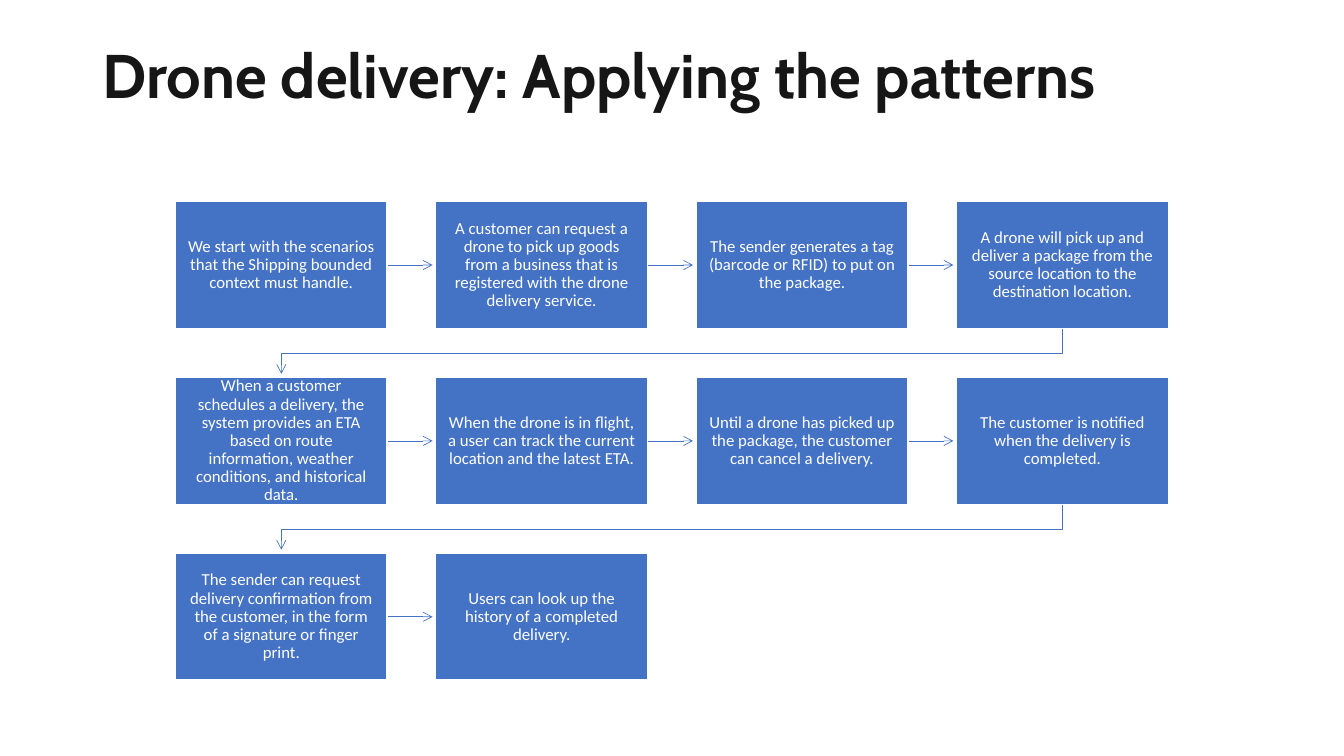
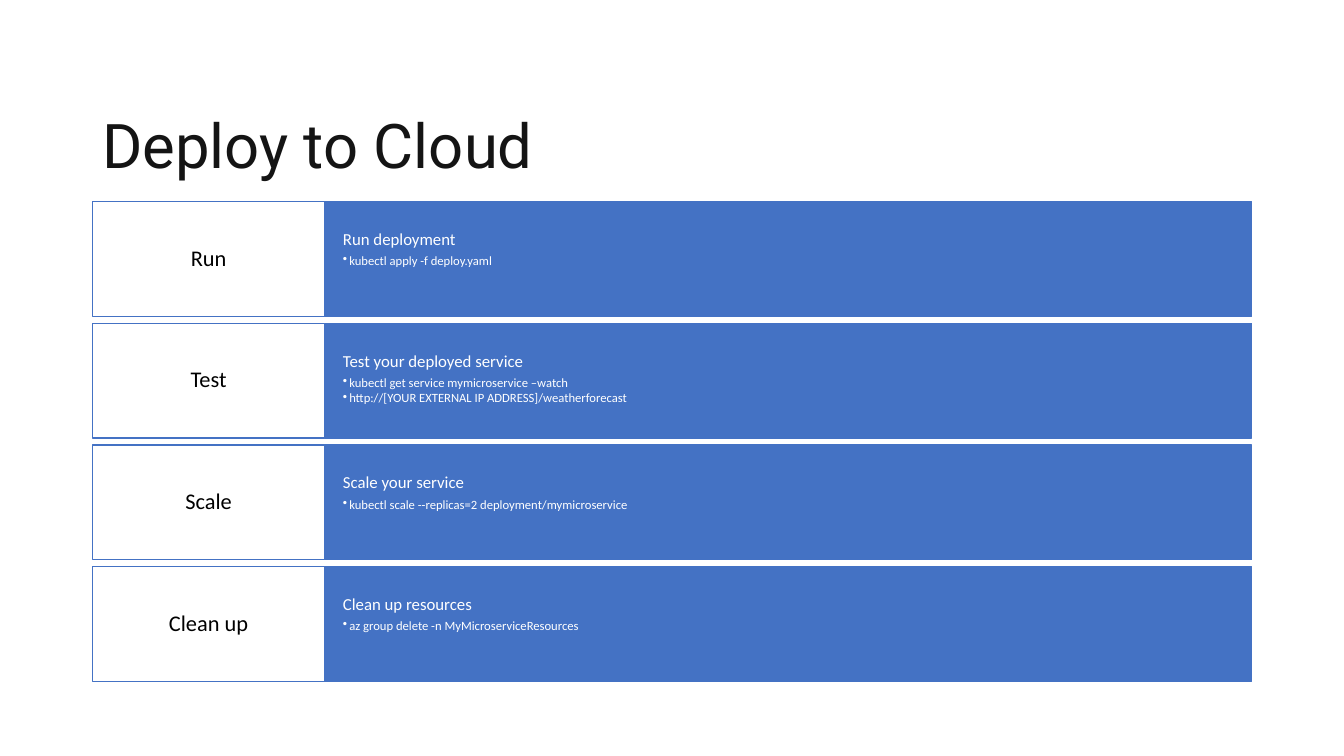
"""Build two slides: a drone delivery flow and a list of deployment steps."""
import pptx
import pptx.dml.color
import pptx.enum.shapes
import pptx.enum.text
import pptx.oxml.ns
import pptx.oxml.xmlchemy
import pptx.util
from lxml import etree

Pt = pptx.util.Pt
qn = pptx.oxml.ns.qn
Align = pptx.enum.text.PP_ALIGN
Anchor = pptx.enum.text.MSO_ANCHOR

COLORS = {
    "blue": "4472C4",
    "white": "FFFFFF",
    "black": "000000",
    "flow title": "161616",
    "steps title": "141414",
}
BODY_FONT = "Calibri"
LINE_SPACING = 0.9

FLOW_TITLE = "Drone delivery: Applying the patterns"
SCENARIOS = [
    "We start with the scenarios that the Shipping bounded context must handle.",
    "A customer can request a drone to pick up goods from a business that is "
    "registered with the drone delivery service.",
    "The sender generates a tag (barcode or RFID) to put on the package.",
    "A drone will pick up and deliver a package from the source location to the "
    "destination location.",
    "When a customer schedules a delivery, the system provides an ETA based on "
    "route information, weather conditions, and historical data.",
    "When the drone is in flight, a user can track the current location and the latest ETA.",
    "Until a drone has picked up the package, the customer can cancel a delivery.",
    "The customer is notified when the delivery is completed.",
    "The sender can request delivery confirmation from the customer, in the form "
    "of a signature or finger print.",
    "Users can look up the history of a completed delivery.",
]

STEPS_TITLE = "Deploy to Cloud"
STEPS = [
    ("Run", "Run deployment", ["kubectl apply -f deploy.yaml"]),
    ("Test", "Test your deployed service", [
        "kubectl get service mymicroservice –watch",
        "http://[YOUR EXTERNAL IP ADDRESS]/weatherforecast",
    ]),
    ("Scale", "Scale your service", ["kubectl scale --replicas=2 deployment/mymicroservice"]),
    ("Clean up", "Clean up resources", ["az group delete -n MyMicroserviceResources"]),
]

TOP = 144
COLUMNS = 4
BOX_LEFT, BOX_WIDTH, BOX_HEIGHT = 125.3, 151.3, 90.6
COLUMN_PITCH, ROW_PITCH = 186, 125.64
ARROW_LENGTH = 32.4
BEND_DROP = 17.6

LABEL_LEFT, LABEL_WIDTH = 66.2, 165.6
DETAIL_WIDTH = 662.4
STEP_HEIGHT, STEP_PITCH = 82.1, 86.9


def color(name):
    return pptx.dml.color.RGBColor.from_string(COLORS[name])


def style_paragraph(paragraph, size, color_name, font=BODY_FONT, bold=False, align=Align.LEFT):
    paragraph.alignment = align
    paragraph.line_spacing = LINE_SPACING
    for run in paragraph.runs:
        run.font.name = font
        run.font.size = Pt(size)
        run.font.bold = bold
        run.font.color.rgb = color(color_name)


def set_frame(text_frame, anchor, horizontal, vertical):
    text_frame.word_wrap = True
    text_frame.vertical_anchor = anchor
    text_frame.margin_left = text_frame.margin_right = Pt(horizontal)
    text_frame.margin_top = text_frame.margin_bottom = Pt(vertical)


def add_title(slide, text, font, color_name, anchor, bold=False):
    shape = slide.shapes.add_textbox(Pt(66), Pt(28.8), Pt(828), Pt(104.4))
    set_frame(shape.text_frame, anchor, 7.2, 3.6)
    shape.text_frame.text = text
    style_paragraph(shape.text_frame.paragraphs[0], 44, color_name, font, bold)


def add_box(slide, left, top, width, height, fill, line):
    shape = slide.shapes.add_shape(
        pptx.enum.shapes.MSO_SHAPE.RECTANGLE, Pt(left), Pt(top), Pt(width), Pt(height))
    shape.shadow.inherit = False
    shape.fill.solid()
    shape.fill.fore_color.rgb = color(fill)
    shape.line.color.rgb = color(line)
    shape.line.width = Pt(1)
    return shape


def add_centered_text(shape, text, size, color_name, horizontal):
    set_frame(shape.text_frame, Anchor.MIDDLE, horizontal, 7.9)
    shape.text_frame.text = text
    style_paragraph(shape.text_frame.paragraphs[0], size, color_name, align=Align.CENTER)


def style_arrow(shape):
    shape.line.color.rgb = color("blue")
    shape.line.width = Pt(0.5)
    properties = shape.element.spPr
    etree.SubElement(properties.find(qn("a:ln")), qn("a:tailEnd"), type="arrow")


def add_straight_arrow(slide, left, y):
    arrow = slide.shapes.add_connector(
        pptx.enum.shapes.MSO_CONNECTOR.STRAIGHT, Pt(left), Pt(y), Pt(left + ARROW_LENGTH), Pt(y))
    style_arrow(arrow)
    etree.SubElement(arrow.element.spPr, qn("a:effectLst"))


def add_return_arrow(slide, start_x, start_y, end_x):
    points = [
        (start_x, start_y + BEND_DROP),
        (end_x, start_y + BEND_DROP),
        (end_x, start_y + ARROW_LENGTH),
    ]
    builder = slide.shapes.build_freeform(Pt(start_x), Pt(start_y))
    builder.add_line_segments([(Pt(x), Pt(y)) for x, y in points], close=False)
    arrow = builder.convert_to_shape()
    arrow.shadow.inherit = False
    arrow.fill.background()
    style_arrow(arrow)


def add_bullet(text_frame, text):
    paragraph = text_frame.add_paragraph()
    paragraph.text = text
    paragraph.level = 1
    style_paragraph(paragraph, 9, "white")
    paragraph.space_after = Pt(1.35)
    properties = paragraph._p.get_or_add_pPr()
    properties.set("marL", str(Pt(4.5)))
    properties.set("indent", str(-Pt(4.5)))
    etree.SubElement(properties, qn("a:buChar"), char="•")


def build_flow(slide):
    add_title(slide, FLOW_TITLE, "Cabin", "flow title", Anchor.TOP, bold=True)
    for index, scenario in enumerate(SCENARIOS):
        row, column = divmod(index, COLUMNS)
        left = BOX_LEFT + column * COLUMN_PITCH
        top = TOP + row * ROW_PITCH
        if index < len(SCENARIOS) - 1:
            if column < COLUMNS - 1:
                add_straight_arrow(slide, left + BOX_WIDTH, top + BOX_HEIGHT / 2)
            else:
                add_return_arrow(slide, left + BOX_WIDTH / 2, top + BOX_HEIGHT,
                                 BOX_LEFT + BOX_WIDTH / 2)
        box = add_box(slide, left, top, BOX_WIDTH, BOX_HEIGHT, "blue", "white")
        add_centered_text(box, scenario, 12, "white", 7.4)


def build_steps(slide):
    add_title(slide, STEPS_TITLE, "Roboto", "steps title", Anchor.BOTTOM)
    for index, (label, heading, commands) in enumerate(STEPS):
        top = TOP + index * STEP_PITCH
        detail = add_box(slide, LABEL_LEFT + LABEL_WIDTH, top, DETAIL_WIDTH, STEP_HEIGHT,
                         "blue", "blue")
        text_frame = detail.text_frame
        set_frame(text_frame, Anchor.TOP, 13.2, 20.9)
        text_frame.text = heading
        style_paragraph(text_frame.paragraphs[0], 12, "white")
        text_frame.paragraphs[0].space_after = Pt(4.2)
        for command in commands:
            add_bullet(text_frame, command)
        label_box = add_box(slide, LABEL_LEFT, top, LABEL_WIDTH, STEP_HEIGHT, "white", "blue")
        add_centered_text(label_box, label, 16, "black", 8.6)


def main():
    presentation = pptx.Presentation()
    presentation.slide_width = Pt(960)
    presentation.slide_height = Pt(540)
    for build in (build_flow, build_steps):
        build(presentation.slides.add_slide(presentation.slide_layouts[6]))
    presentation.save("out.pptx")


if __name__ == "__main__":
    main()
